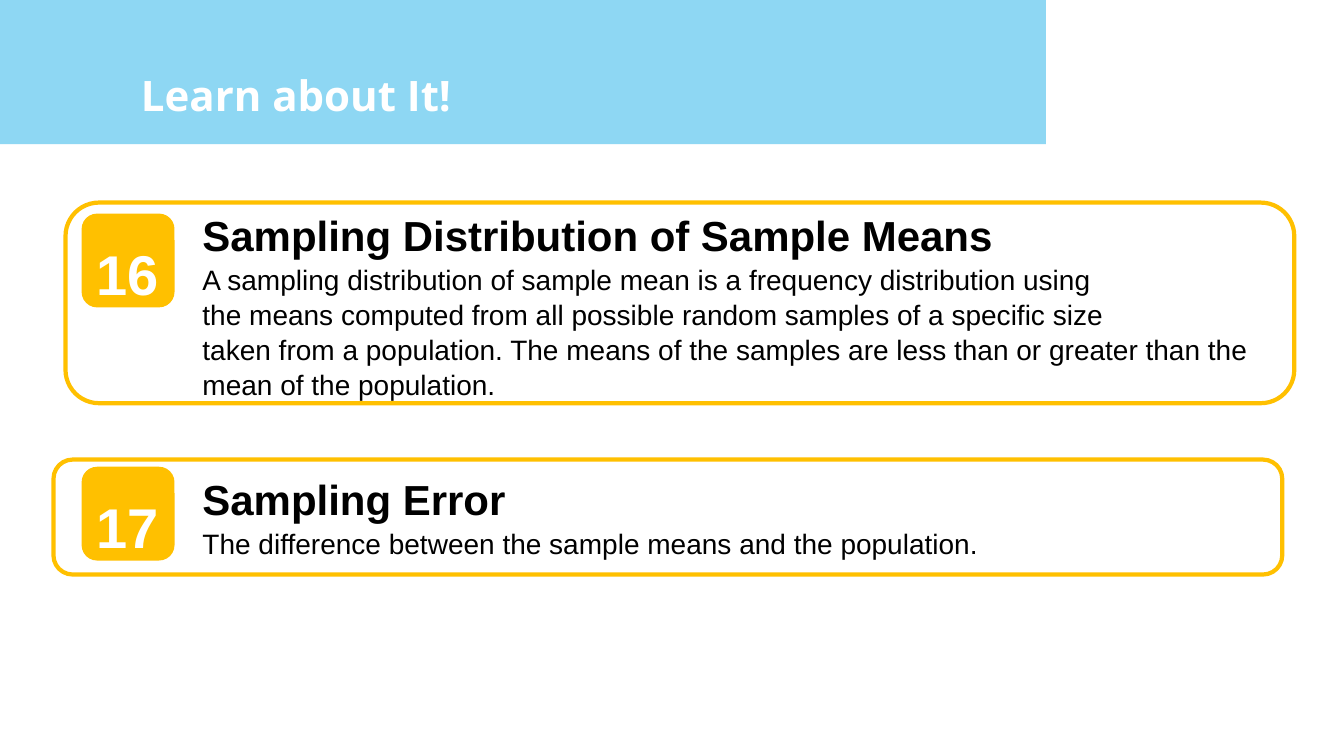
from pptx import Presentation
from pptx import util as u
from pptx.dml import color
from pptx.enum import shapes, text

COLORS = {"sky": "8ED7F3", "amber": "FFC000", "white": "FFFFFF", "black": "000000"}

deck = Presentation()
deck.slide_width, deck.slide_height = u.Pt(960), u.Pt(540)
slide = deck.slides.add_slide(deck.slide_layouts[6])


def add_block(kind, left, top, width, height, fill=None, line=None, weight=0):
    block = slide.shapes.add_shape(kind, u.Pt(left), u.Pt(top), u.Pt(width), u.Pt(height))
    block.shadow.inherit = False
    if fill:
        block.fill.solid()
        block.fill.fore_color.rgb = color.RGBColor.from_string(COLORS[fill])
    else:
        block.fill.background()
    if line:
        block.line.color.rgb = color.RGBColor.from_string(COLORS[line])
        block.line.width = u.Pt(weight)
    else:
        block.line.fill.background()


def add_words(left, top, width, height, lines, face, ink, inset_top=7.2, spacing=1.0):
    frame = slide.shapes.add_textbox(
        u.Pt(left), u.Pt(top), u.Pt(width), u.Pt(height)).text_frame
    frame.word_wrap = True
    frame.vertical_anchor = text.MSO_ANCHOR.TOP
    frame.margin_left = frame.margin_right = frame.margin_bottom = u.Pt(7.2)
    frame.margin_top = u.Pt(inset_top)
    frame.text = "\n".join(words for words, size, bold in lines)
    for paragraph, (words, size, bold) in zip(frame.paragraphs, lines):
        paragraph.line_spacing = spacing
        paragraph.font.name = face
        paragraph.font.size = u.Pt(size)
        paragraph.font.bold = bold
        paragraph.font.color.rgb = color.RGBColor.from_string(COLORS[ink])


RECT = shapes.MSO_SHAPE.RECTANGLE
ROUNDED = shapes.MSO_SHAPE.ROUNDED_RECTANGLE

add_block(RECT, 0, 0, 960, 103, fill="sky")
add_block(RECT, 748, 0, 212, 105, fill="white", line="white", weight=2)
add_words(93.6, 42.5, 408, 68.4, [("Learn about It!", 30, True)], "Open Sans", "white")

terms = [
    ("16", "Sampling Distribution of Sample Means",
     ["A sampling distribution of sample mean is a frequency distribution using",
      "the means computed from all possible random samples of a specific size",
      "taken from a population. The means of the samples are less than or greater "
      "than the mean of the population."],
     (46.8, 144.7, 143.3), 152.6, (139.7, 117.4)),
    ("17", "Sampling Error",
     ["The difference between the sample means and the population."],
     (38.2, 328.3, 82.1), 333.4, (328.3, 72)),
]

for number, term, meaning, (card_left, card_top, card_height), badge_top, (top, height) in terms:
    add_block(ROUNDED, card_left, card_top, 877.7, card_height, line="amber", weight=3)
    add_block(ROUNDED, 58.3, badge_top, 66.4, 67, fill="amber")
    add_words(61.9, badge_top + 6.5, 66.2, 53.3, [(number, 40, True)], "Arial", "white",
              inset_top=12)
    lines = [(term, 30, True)] + [(sentence, 20, False) for sentence in meaning]
    add_words(137.5, top, 779, height, lines, "Arial", "black", inset_top=8.5, spacing=1.05)

deck.save("out.pptx")
